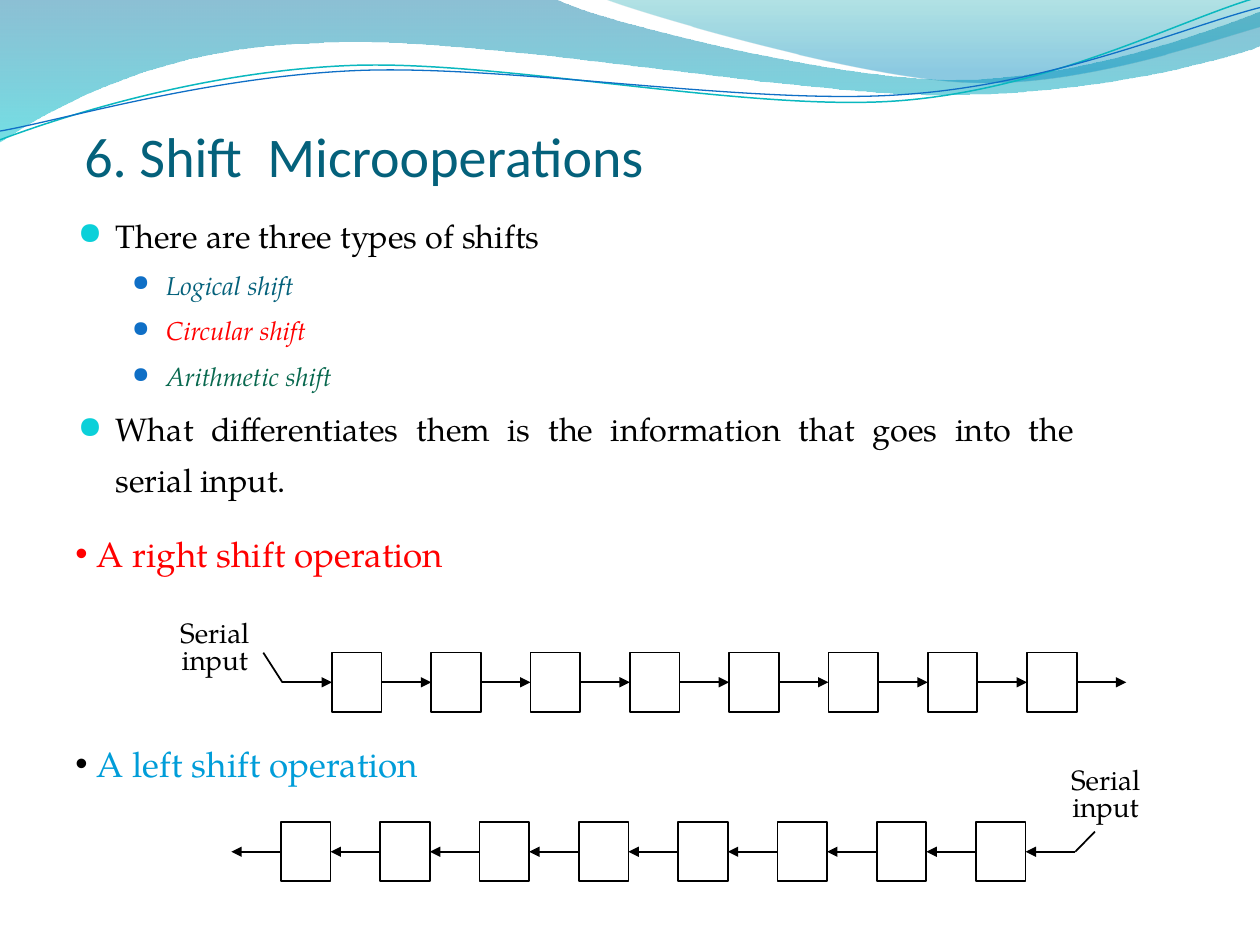
from math import cos, radians, sin

from lxml.etree import SubElement
from pptx import Presentation
from pptx.dml.color import RGBColor
from pptx.enum.shapes import MSO_CONNECTOR as Connector, MSO_SHAPE as Shape
from pptx.enum.text import MSO_ANCHOR as Anchor, PP_ALIGN as Align
from pptx.oxml.ns import qn
from pptx.util import Inches, Pt

COLUMNS, ROWS = 100, 75
BOX_WIDTH, BOX_HEIGHT, BOX_PITCH, BOX_COUNT = 3.94, 4.7, 7.88, 8
WAVE_TILT = 2.7
SERIF, SANS = "TeX Gyre Pagella", "Calibri"
BLACK, RED, TEAL, BLUE = "000000", "FF0000", "04617B", "0F6FC6"

BAND = [(0, 0), (44, -0.1), (47.6, 1.7, 66.4, 6.3, 75.8, 6.3),
        (85.3, 6.3, 95.8, 2.6, 100, 0.9), (100.1, 3.6),
        (98.3, 4.4, 87, 7.6, 74.6, 7.5), (62.2, 7.5, 38.2, 2.8, 25.7, 3.4),
        (12.9, 3.6, 4.6, 8.3, -0.1, 11.3), (0, 0)]
CORNER = [(47.9, -0.1), (50.9, 1.1, 68.2, 6.2, 76.9, 6.5),
          (85.6, 6.9, 96.1, 3.2, 100, 2.1), (100, 0), (47.9, -0.1)]
GREEN_WAVE = [(0, 11.1), (4.8, 9.3, 15.8, 5.7, 27.7, 5.2),
              (39.5, 4.7, 59.3, 8.9, 71.3, 8), (83.3, 7.1, 93.8, 1.5, 99.8, -0.2)]
BLUE_WAVE = [(0, 10.4), (4.7, 9.6, 16.4, 6.1, 28.3, 5.6),
             (40.3, 5.1, 59.7, 8.4, 71.7, 7.5), (83.6, 6.7, 94.1, 2.1, 100, 0.6)]


def color(value):
    return RGBColor.from_string(value)


def turn(step, center, degrees):
    angle, turned = radians(degrees), []
    for x, y in zip(step[::2], step[1::2]):
        across, down = x - center[0], y - center[1]
        turned += [center[0] + across * cos(angle) - down * sin(angle),
                   center[1] + across * sin(angle) + down * cos(angle)]
    return tuple(turned)


class SlideBuilder:
    """Draws styled elements on one slide, measured in grid columns and rows."""

    def __init__(self, presentation):
        self.column = presentation.slide_width / COLUMNS
        self.row = presentation.slide_height / ROWS
        self.slide = presentation.slides.add_slide(presentation.slide_layouts[6])
        self.shapes = self.slide.shapes

    def place(self, *lengths):
        return [round(length * (self.row if index % 2 else self.column))
                for index, length in enumerate(lengths)]

    def outline(self, shape, line_color=BLACK, width=1):
        shape.line.color.rgb = color(line_color)
        shape.line.width = Pt(width)

    def freeform(self, steps, closed):
        points = [self.place(*step[index:index + 2])
                  for step in steps for index in range(0, len(step), 2)]
        builder = self.shapes.build_freeform(*points[0], scale=1.0)
        builder.add_line_segments(points[1:], close=closed)
        shape = builder.convert_to_shape()
        shape.shadow.inherit = False
        segments = iter(list(shape.element.iter(qn("a:lnTo"))))
        for step in steps[1:]:
            segment = next(segments)
            if len(step) == 6:
                segment.tag = qn("a:cubicBezTo")
                for _ in range(2):
                    extra = next(segments)
                    segment.append(extra[0])
                    extra.getparent().remove(extra)
        return shape

    def gradient_area(self, steps, stops):
        shape = self.freeform(steps, True)
        shape.fill.gradient()
        shape.fill.gradient_angle = 270
        for stop, (position, value, _) in zip(shape.fill.gradient_stops, stops):
            stop.position = position
            stop.color.rgb = color(value)
        for element, (_, _, opacity) in zip(list(shape.element.iter(qn("a:srgbClr"))), stops):
            SubElement(element, qn("a:alpha"), val=str(opacity * 1000))
        shape.line.fill.background()

    def wave(self, steps, center, line_color, width):
        shape = self.freeform([turn(step, center, WAVE_TILT) for step in steps], False)
        shape.rotation = -WAVE_TILT
        shape.fill.background()
        self.outline(shape, line_color, width)

    def box(self, left, top):
        shape = self.shapes.add_shape(
            Shape.RECTANGLE, *self.place(left, top, BOX_WIDTH, BOX_HEIGHT))
        shape.shadow.inherit = False
        shape.fill.background()
        self.outline(shape)
        return shape

    def line(self, start, end, arrow=True):
        connector = self.shapes.add_connector(Connector.STRAIGHT, *self.place(*start, *end))
        self.outline(connector)
        if arrow:
            SubElement(connector.line._get_or_add_ln(), qn("a:tailEnd"), type="triangle")
        SubElement(connector.element.spPr, qn("a:effectLst"))
        return connector

    def text_box(self, area, lines, wrap=True):
        text_frame = self.shapes.add_textbox(*self.place(*area)).text_frame
        text_frame.word_wrap = wrap
        text_frame.text = "\n".join(lines)
        return text_frame

    def format(self, paragraph, size, font_color, name=SERIF, italic=False,
               align=Align.LEFT, spacing=None, before=None):
        paragraph.alignment = align
        if spacing:
            paragraph.line_spacing = spacing
        if before:
            paragraph.space_before = Pt(before)
        for run in paragraph.runs:
            run.font.size = Pt(size)
            run.font.name = name
            run.font.italic = italic
            run.font.color.rgb = color(font_color)

    def bullet(self, paragraph, character, font, bullet_color, percent, margin, hanging):
        properties = paragraph._p.get_or_add_pPr()
        properties.set("marL", str(Inches(margin)))
        properties.set("indent", str(-Inches(hanging)))
        fill = SubElement(properties, qn("a:buClr"))
        SubElement(fill, qn("a:srgbClr"), val=bullet_color)
        SubElement(properties, qn("a:buSzPct"), val=str(percent * 1000))
        SubElement(properties, qn("a:buFont"), typeface=font)
        SubElement(properties, qn("a:buChar"), char=character)

    def title(self, area, text):
        text_frame = self.text_box(area, [text])
        text_frame.vertical_anchor = Anchor.BOTTOM
        text_frame.margin_left = text_frame.margin_right = text_frame.margin_bottom = 0
        self.format(text_frame.paragraphs[0], 32, TEAL, SANS)

    def outline_list(self, area, items):
        text_frame = self.text_box(area, [text for text, _, _ in items])
        for paragraph, (_, level, font_color) in zip(text_frame.paragraphs, items):
            size = 14.8 if level else 18.5
            paragraph.level = level
            self.format(paragraph, size, font_color, italic=bool(level),
                        align=Align.JUSTIFY, spacing=1.3, before=round(size * 0.2, 1))
            style = (BLUE, 85, 0.7, 0.27) if level else ("0BD0D9", 95, 0.3, 0.3)
            self.bullet(paragraph, "●", "OpenSymbol", *style)

    def headings(self, area, items):
        text_frame = self.text_box(area, [text for text, _, _, _ in items])
        for paragraph, (_, font_color, bullet_color, before) in zip(text_frame.paragraphs, items):
            self.format(paragraph, 20, font_color, before=before)
            self.bullet(paragraph, "•", "Arial", bullet_color, 100, 0.17, 0.17)

    def serial_label(self, left, top):
        text_frame = self.text_box((left, top, 8.1, 5.3), ["Serial", "input"], wrap=False)
        for paragraph in text_frame.paragraphs:
            self.format(paragraph, 16, BLACK, align=Align.CENTER, spacing=0.8)

    def shift_register(self, left, top, to_right, kink):
        middle = top + BOX_HEIGHT / 2
        boxes = [self.box(left + index * BOX_PITCH, top) for index in range(BOX_COUNT)]
        edges = [left - BOX_WIDTH + index * BOX_PITCH for index in range(BOX_COUNT + 1)]
        for edge, before, after in zip(edges, [None, *boxes], [*boxes, None]):
            ends = [(before, 3, edge), (after, 1, edge + BOX_WIDTH)]
            source, target = ends if to_right else reversed(ends)
            connector = self.line((source[2], middle), (target[2], middle))
            if source[0]:
                connector.begin_connect(*source[:2])
            if target[0]:
                connector.end_connect(*target[:2])
        entry = edges[0] if to_right else edges[-1] + BOX_WIDTH
        self.line((entry, middle), kink, arrow=False)


def main():
    presentation = Presentation()
    presentation.slide_width, presentation.slide_height = Inches(10), Inches(7.5)
    builder = SlideBuilder(presentation)
    builder.gradient_area(BAND, [(0, "0074A1", 45), (1, "00C6CF", 55)])
    builder.gradient_area(CORNER, [(0, "00A1A9", 30), (0.8, "008BBF", 45)])
    builder.wave(GREEN_WAVE, (49.9, 5.75), "0AB8BF", 0.85)
    builder.wave(BLUE_WAVE, (49.95, 5.9), BLUE, 0.75)
    builder.title((6.7, 10.2, 65, 4.8), "6. Shift  Microoperations")
    builder.outline_list((5.2, 15.7, 81, 25.9), [
        ("There are three types of shifts", 0, BLACK),
        ("Logical shift", 1, TEAL),
        ("Circular shift", 1, RED),
        ("Arithmetic shift", 1, "08684E"),
        ("What differentiates them is the information that goes into the serial input.",
         0, BLACK)])
    builder.headings((5, 41.8, 85.7, 21.2), [
        ("A right shift operation", RED, RED, None),
        ("A left shift operation", "009DD9", BLACK, 96)])
    builder.shift_register(26.35, 51.8, True, (20.9, 51.8))
    builder.serial_label(13, 48.9)
    builder.shift_register(22.3, 65.25, False, (86.9, 66))
    builder.serial_label(83.7, 60.55)
    presentation.save("out.pptx")


if __name__ == "__main__":
    main()
